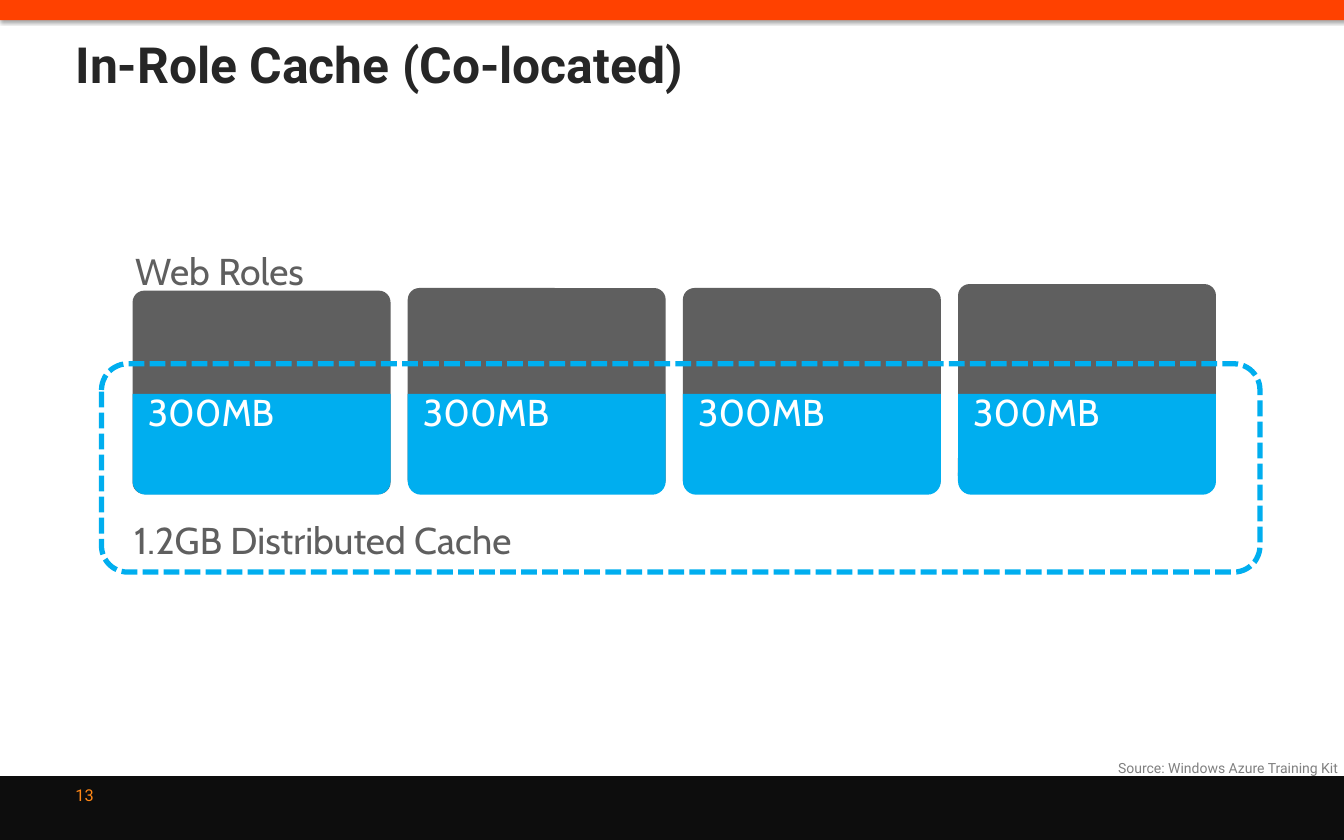
from pptx import Presentation
from pptx.dml.color import RGBColor
from pptx.enum.dml import MSO_LINE
from pptx.enum.shapes import MSO_SHAPE
from pptx.enum.text import MSO_ANCHOR, MSO_AUTO_SIZE, PP_ALIGN
from pptx.oxml import parse_xml
from pptx.oxml.ns import nsdecls
from pptx.util import Cm, Pt

BLACK = RGBColor(0x0D, 0x0D, 0x0D)
RED = RGBColor(0xFF, 0x41, 0x00)
INK = RGBColor(0x26, 0x26, 0x26)
ORANGE = RGBColor(0xFF, 0x87, 0x15)
GRAY = RGBColor(0x5F, 0x5F, 0x5F)
SILVER = RGBColor(0x80, 0x80, 0x80)
BLUE = RGBColor(0x00, 0xAE, 0xEF)
WHITE = RGBColor(0xFF, 0xFF, 0xFF)
RECT = MSO_SHAPE.RECTANGLE
ROUND = MSO_SHAPE.ROUNDED_RECTANGLE
BASE = MSO_SHAPE.ROUND_2_SAME_RECTANGLE
DASH = MSO_LINE.SQUARE_DOT
TOP = MSO_ANCHOR.TOP
MIDDLE = MSO_ANCHOR.MIDDLE
FIXED = MSO_AUTO_SIZE.NONE
LEFT = PP_ALIGN.LEFT
RIGHT = PP_ALIGN.RIGHT

deck = Presentation()
deck.slide_width, deck.slide_height = Cm(40.64), Cm(25.4)
slide = deck.slides.add_slide(deck.slide_layouts[5])
shapes = slide.shapes


def write(text, place, box=None, size=32, font="Cabin", color=GRAY, bold=False,
          align=LEFT, anchor=TOP, inset=True, space=1):
    x, y, w, h = [Cm(v) for v in place]
    if box is None:
        box = shapes.add_textbox(x, y, w, h)
    box.left, box.top, box.width, box.height = x, y, w, h
    frame = box.text_frame
    frame.word_wrap = True
    frame.auto_size = FIXED
    frame.vertical_anchor = anchor
    if not inset:
        frame.margin_left = frame.margin_right = 0
        frame.margin_top = frame.margin_bottom = 0
    para = frame.paragraphs[0]
    para.alignment = align
    para.line_spacing = space
    run = para.add_run()
    run.text = text
    run.font.size = Pt(size)
    run.font.name = font
    run.font.bold = bold
    run.font.color.rgb = color


def draw(kind, place, fill=None, bends=()):
    shape = shapes.add_shape(kind, *[Cm(v) for v in place])
    shape.shadow.inherit = False
    for i, bend in enumerate(bends):
        shape.adjustments[i] = bend
    if fill is None:
        shape.fill.background()
    else:
        shape.fill.solid()
        shape.fill.fore_color.rgb = fill
    shape.line.fill.background()
    return shape


draw(RECT, (0, 23.47, 40.64, 1.93), BLACK)
bar = draw(RECT, (0, -0.05, 40.69, 0.66), RED)
glow = bar.element.spPr.find("{*}effectLst")
glow.append(parse_xml(
    f'<a:outerShdw {nsdecls("a")} blurRad="{Pt(3.1)}" dist="{Pt(1.8)}" '
    'dir="5400000" algn="t" rotWithShape="0"><a:srgbClr val="000000">'
    '<a:alpha val="35000"/></a:srgbClr></a:outerShdw>'))

write("In-Role Cache (Co-located)", (2.03, 0.89, 36.58, 1.9), shapes.title,
      size=42.7, font="Roboto", color=INK, bold=True)
write("13", (2.03, 23.37, 9.47, 1.35), size=14, font="Roboto",
      color=ORANGE, anchor=MIDDLE)
write("Web Roles", (4.09, 7.77, 12.83, 1.09), inset=False, space=0.8)

START, PITCH, WIDE = 4.01, 8.32, 7.8
for i, top in enumerate((8.79, 8.71, 8.71, 8.59)):
    x = START + i * PITCH
    draw(ROUND, (x, top, WIDE, 6.15), GRAY, [0.057])
    draw(BASE, (x, 11.91, WIDE, 3.05), BLUE, [0, 0.133])
    write("300MB", (x + 0.46, 11.91, 7.25, 1.83), color=WHITE,
          inset=False, space=0.9)

ring = draw(ROUND, (3.07, 11, 35.03, 6.3), bends=[0.126])
ring.line.color.rgb = BLUE
ring.line.width = Pt(4.5)
ring.line.dash_style = DASH
write("1.2GB Distributed Cache", (4.06, 15.9, 18.85, 1.09),
      inset=False, space=0.8)
write("Source: Windows Azure Training Kit", (16.31, 22.83, 24.41, 0.76),
      size=12, font="Roboto", color=SILVER, align=RIGHT)

deck.save("out.pptx")
